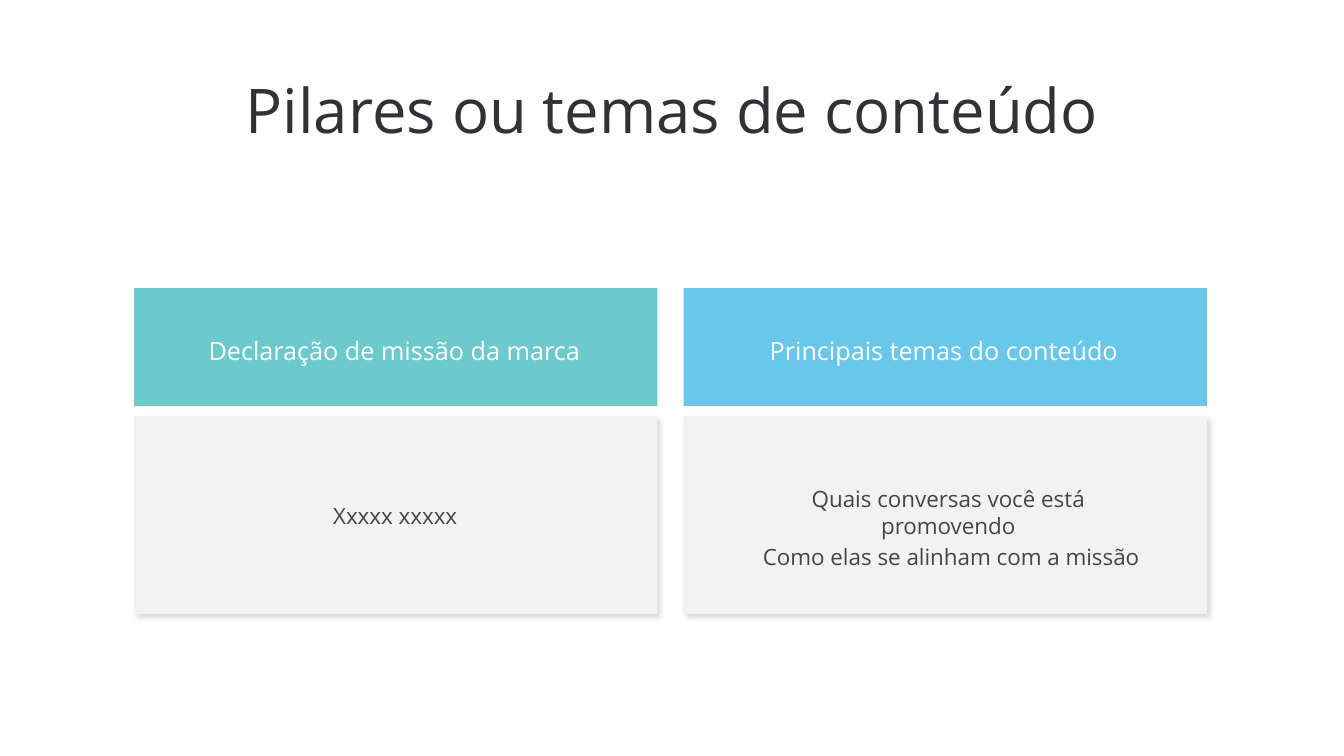
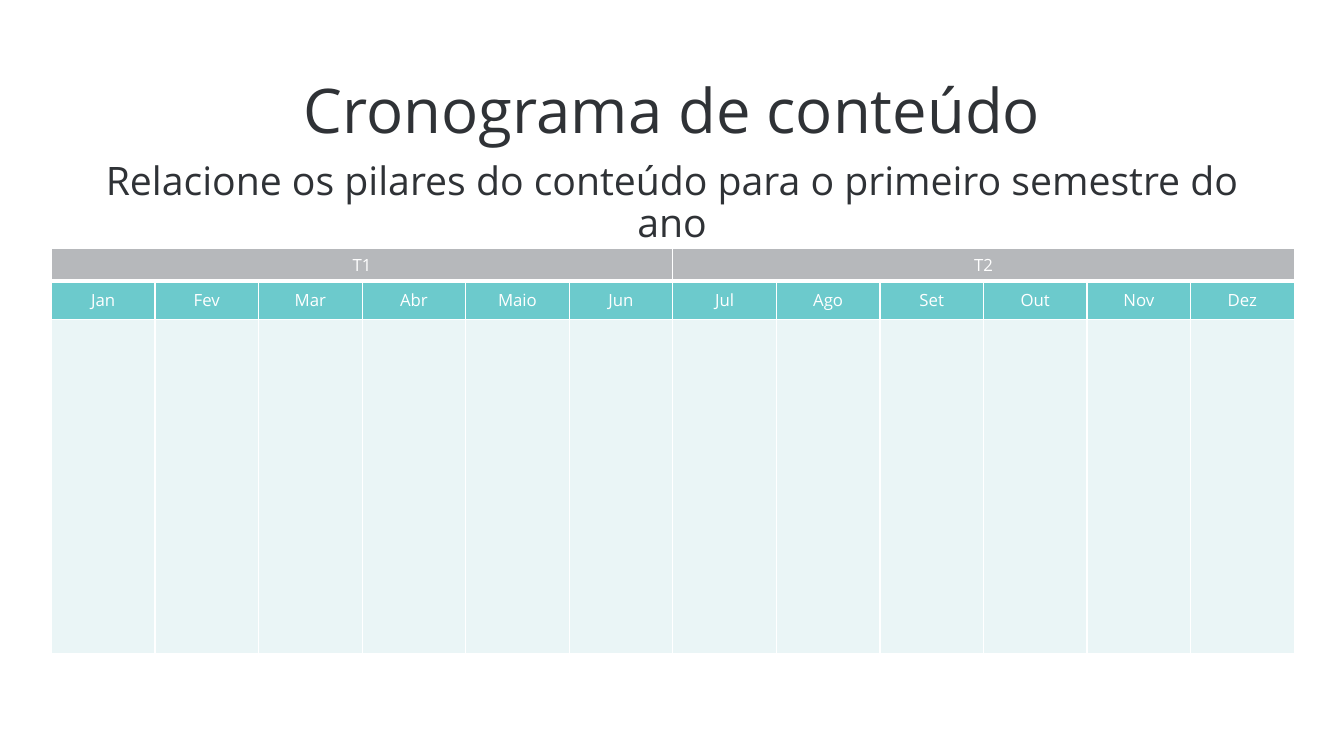
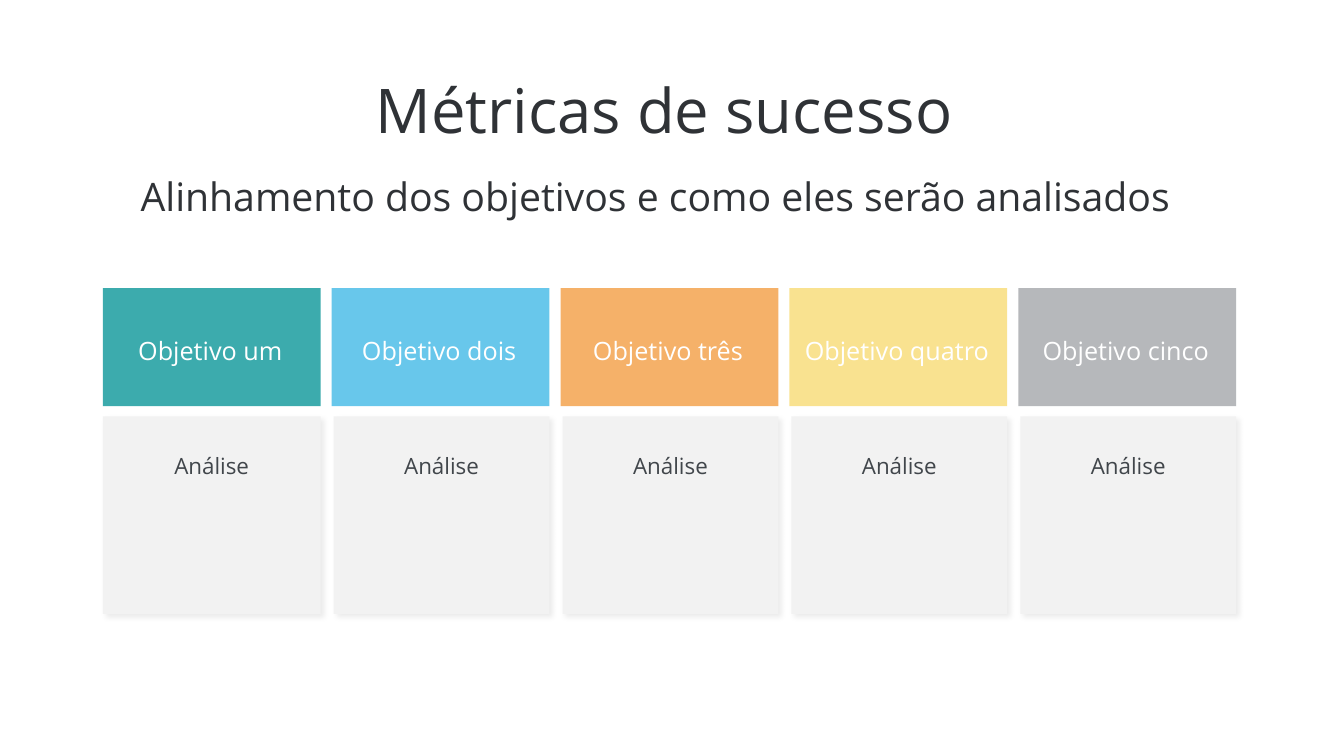
"""Build three content-planning slides: pillars, schedule and success metrics."""
from dataclasses import dataclass

from lxml import etree
from pptx import Presentation
from pptx.dml.color import RGBColor
from pptx.enum import shapes, text
from pptx.oxml import ns
from pptx.util import Inches, Pt

FONT = "Open Sans"
DARK, BODY, WHITE = "2F3236", "41464B", "FFFFFF"
TEAL, DEEP_TEAL, PALE_TEAL = "6CCACC", "3CABAD", "EAF5F6"
BLUE, ORANGE, YELLOW = "68C7EB", "F5B169", "F9E290"
GRAY, PALE_GRAY = "B6B8BB", "F2F2F2"

TITLE_INSETS = (0.1, 0.05, 0.1, 0.05)
HEADER_INSETS = (0.07, 0.04, 0.1, 0.04)
BODY_INSETS = (0.07, 0.04, 0.07, 0.04)
HEADER_TOP, HEADER_HEIGHT = 2.86, 1.17
CARD_TOP, CARD_HEIGHT = 4.13, 1.96
TOP, MIDDLE = text.MSO_ANCHOR.TOP, text.MSO_ANCHOR.MIDDLE

QUARTERS = ("T1", "T2")
MONTHS = ("Jan", "Fev", "Mar", "Abr", "Maio", "Jun",
          "Jul", "Ago", "Set", "Out", "Nov", "Dez")


@dataclass(frozen=True)
class Box:
    """Position and size in inches."""
    left: float
    top: float
    width: float
    height: float

    def lengths(self) -> tuple:
        """Return the four measures as lengths."""
        return tuple(Inches(v) for v in (self.left, self.top, self.width, self.height))


@dataclass(frozen=True)
class TextStyle:
    """Size, colour and spacing of centred text."""
    size: float
    color: str
    line_spacing: float = 1.0
    space_before: float = 0


@dataclass(frozen=True)
class Column:
    """A coloured header above a shadowed card with its own text."""
    header: str
    color: str
    left: float
    width: float
    lines: tuple
    text_box: Box
    card_inset: float = 0
    anchor: text.MSO_ANCHOR = TOP


TITLE = TextStyle(44, DARK, 0.9)
SUBTITLE = TextStyle(28, DARK, 0.9)
HEADER = TextStyle(18, WHITE, 1.2)
CARD = TextStyle(16, BODY, space_before=3.2)
CELL = TextStyle(12, WHITE)


def rgb(color: str) -> RGBColor:
    """Turn a hex string into a colour."""
    return RGBColor.from_string(color)


def write(frame, lines: tuple, style: TextStyle, insets: tuple, anchor=TOP) -> None:
    """Fill a text frame with centred paragraphs."""
    frame.word_wrap = True
    frame.auto_size = text.MSO_AUTO_SIZE.NONE
    frame.vertical_anchor = anchor
    frame.margin_left, frame.margin_top, frame.margin_right, frame.margin_bottom = (
        Inches(inset) for inset in insets)
    for index, line in enumerate(lines):
        paragraph = frame.add_paragraph() if index else frame.paragraphs[0]
        write_line(paragraph, line, style)
        if index:
            paragraph.space_before = Pt(style.space_before)


def write_line(paragraph, line: str, style: TextStyle) -> None:
    """Add one styled run to a centred paragraph."""
    paragraph.alignment = text.PP_ALIGN.CENTER
    paragraph.line_spacing = style.line_spacing
    run = paragraph.add_run()
    run.text = line
    run.font.name = FONT
    run.font.size = Pt(style.size)
    run.font.color.rgb = rgb(style.color)


def add_text(slide, box: Box, lines: tuple, style: TextStyle, insets: tuple, anchor=TOP) -> None:
    """Add a text box."""
    shape = slide.shapes.add_textbox(*box.lengths())
    write(shape.text_frame, lines, style, insets, anchor)


def add_rectangle(slide, box: Box, color: str):
    """Add a flat rectangle without an outline."""
    shape = slide.shapes.add_shape(shapes.MSO_SHAPE.RECTANGLE, *box.lengths())
    shape.shadow.inherit = False
    shape.fill.solid()
    shape.fill.fore_color.rgb = rgb(color)
    shape.line.fill.background()
    return shape


def add_shadow(shape, opacity: int) -> None:
    """Give a shape a soft black shadow towards the lower right."""
    effects = shape.element.spPr.find(ns.qn("a:effectLst"))
    shadow = etree.SubElement(effects, ns.qn("a:outerShdw"), blurRad=str(Pt(4)),
                              dist=str(Pt(3)), dir=str(45 * 60000),
                              algn="tl", rotWithShape="0")
    color = etree.SubElement(shadow, ns.qn("a:srgbClr"), val="000000")
    etree.SubElement(color, ns.qn("a:alpha"), val=str(opacity * 1000))


def add_column(slide, column: Column, opacity: int) -> None:
    """Draw a header, its card and the card text."""
    card = add_rectangle(slide, Box(column.left + column.card_inset, CARD_TOP,
                                    column.width - column.card_inset, CARD_HEIGHT), PALE_GRAY)
    add_shadow(card, opacity)
    add_text(slide, column.text_box, column.lines, CARD, BODY_INSETS, column.anchor)
    header = add_rectangle(
        slide, Box(column.left, HEADER_TOP, column.width, HEADER_HEIGHT), column.color)
    write(header.text_frame, (column.header,), HEADER, HEADER_INSETS, MIDDLE)


def add_slide(presentation, title: str):
    """Add a title-only slide with the shared title style."""
    slide = presentation.slides.add_slide(presentation.slide_layouts[5])
    shape = slide.shapes.title
    shape.left, shape.top, shape.width, shape.height = Box(0.92, 0.4, 11.5, 1.45).lengths()
    write(shape.text_frame, (title,), TITLE, TITLE_INSETS, MIDDLE)
    return slide


def format_cell(cell, color: str, top: float = 1, bottom: float = 1) -> None:
    """Set the white borders and the fill of a cell."""
    properties = cell._tc.get_or_add_tcPr()
    for side, width in (("L", 1), ("R", 1), ("T", top), ("B", bottom)):
        line = etree.SubElement(properties, ns.qn(f"a:ln{side}"), w=str(Pt(width)))
        fill = etree.SubElement(line, ns.qn("a:solidFill"))
        etree.SubElement(fill, ns.qn("a:srgbClr"), val=WHITE)
    cell.fill.solid()
    cell.fill.fore_color.rgb = rgb(color)


def write_cell(cell, label: str) -> None:
    """Write a centred label in a cell."""
    cell.vertical_anchor = MIDDLE
    write_line(cell.text_frame.paragraphs[0], label, CELL)


def add_schedule(slide) -> None:
    """Draw the table of months grouped under two headings."""
    heights = (0.28, 0.38, 3.32)
    box = Box(0.51, 2.46, 12.33, sum(heights))
    table = slide.shapes.add_table(len(heights), len(MONTHS), *box.lengths()).table
    for row, height in zip(table.rows, heights):
        row.height = Inches(height)
    for index, month in enumerate(MONTHS):
        format_cell(table.cell(0, index), GRAY, bottom=3)
        format_cell(table.cell(1, index), TEAL, top=3)
        format_cell(table.cell(2, index), PALE_TEAL)
        write_cell(table.cell(1, index), month)
    span = len(MONTHS) // len(QUARTERS)
    for index, quarter in enumerate(QUARTERS):
        first = table.cell(0, index * span)
        first.merge(table.cell(0, (index + 1) * span - 1))
        write_cell(first, quarter)


def build_pillars(presentation) -> None:
    """Build the slide of content pillars."""
    slide = add_slide(presentation, "Pilares ou temas de conteúdo")
    columns = (
        Column("Declaração de missão da marca", TEAL, 1.33, 5.19, ("Xxxxx xxxxx",),
               Box(1.32, 4.81, 5.2, 0.61), anchor=MIDDLE),
        Column("Principais temas do conteúdo", BLUE, 6.78, 5.19,
               ("Quais conversas você está promovendo", " Como elas se alinham com a missão"),
               Box(7.3, 4.77, 4.21, 0.56)),
    )
    for column in columns:
        add_column(slide, column, opacity=14)


def build_schedule(presentation) -> None:
    """Build the slide of the content schedule."""
    slide = add_slide(presentation, "Cronograma de conteúdo")
    add_text(slide, Box(0.64, 1.55, 12.05, 0.6),
             ("Relacione os pilares do conteúdo para o primeiro semestre do ano",),
             SUBTITLE, TITLE_INSETS)
    add_schedule(slide)


def build_metrics(presentation) -> None:
    """Build the slide of success metrics."""
    slide = add_slide(presentation, "Métricas de sucesso ")
    add_text(slide, Box(0.75, 1.71, 11.5, 0.54),
             ("Alinhamento dos objetivos e como eles serão analisados",),
             SUBTITLE, TITLE_INSETS)
    goals = (("um", DEEP_TEAL), ("dois", BLUE), ("três", ORANGE),
             ("quatro", YELLOW), ("cinco", GRAY))
    start, pitch, width = 1.02, 2.27, 2.16
    for index, (number, color) in enumerate(goals):
        left = start + index * pitch
        inset = 0.02 if index else 0
        text_box = Box(left + inset, 4.45, width - inset, 0.61)
        add_column(slide, Column(f"Objetivo {number}", color, left, width, ("Análise",),
                                 text_box, inset), opacity=8)


def main() -> None:
    """Build and save the presentation."""
    presentation = Presentation()
    presentation.slide_width, presentation.slide_height = Inches(13.33), Inches(7.5)
    build_pillars(presentation)
    build_schedule(presentation)
    build_metrics(presentation)
    presentation.save("out.pptx")


if __name__ == "__main__":
    main()
